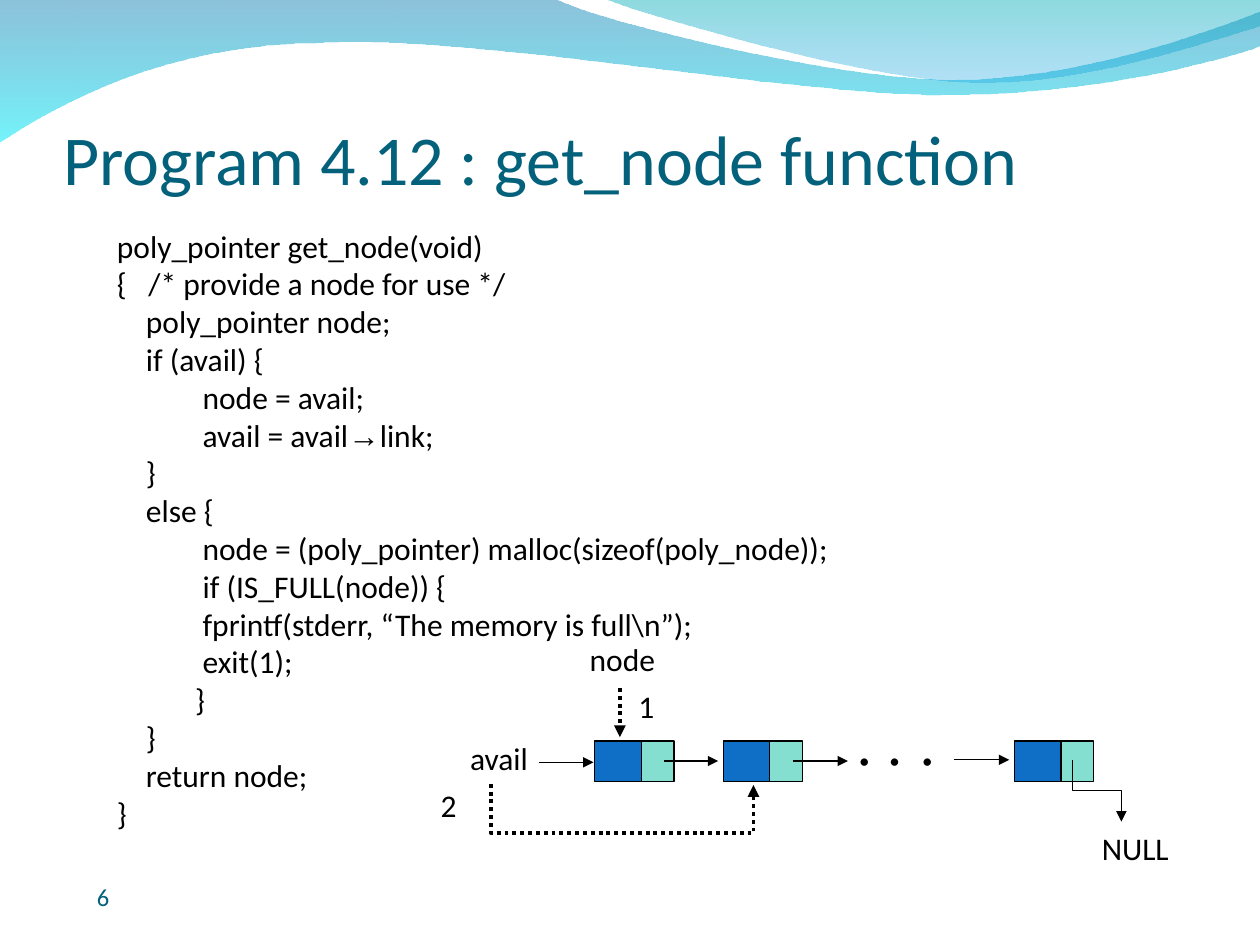
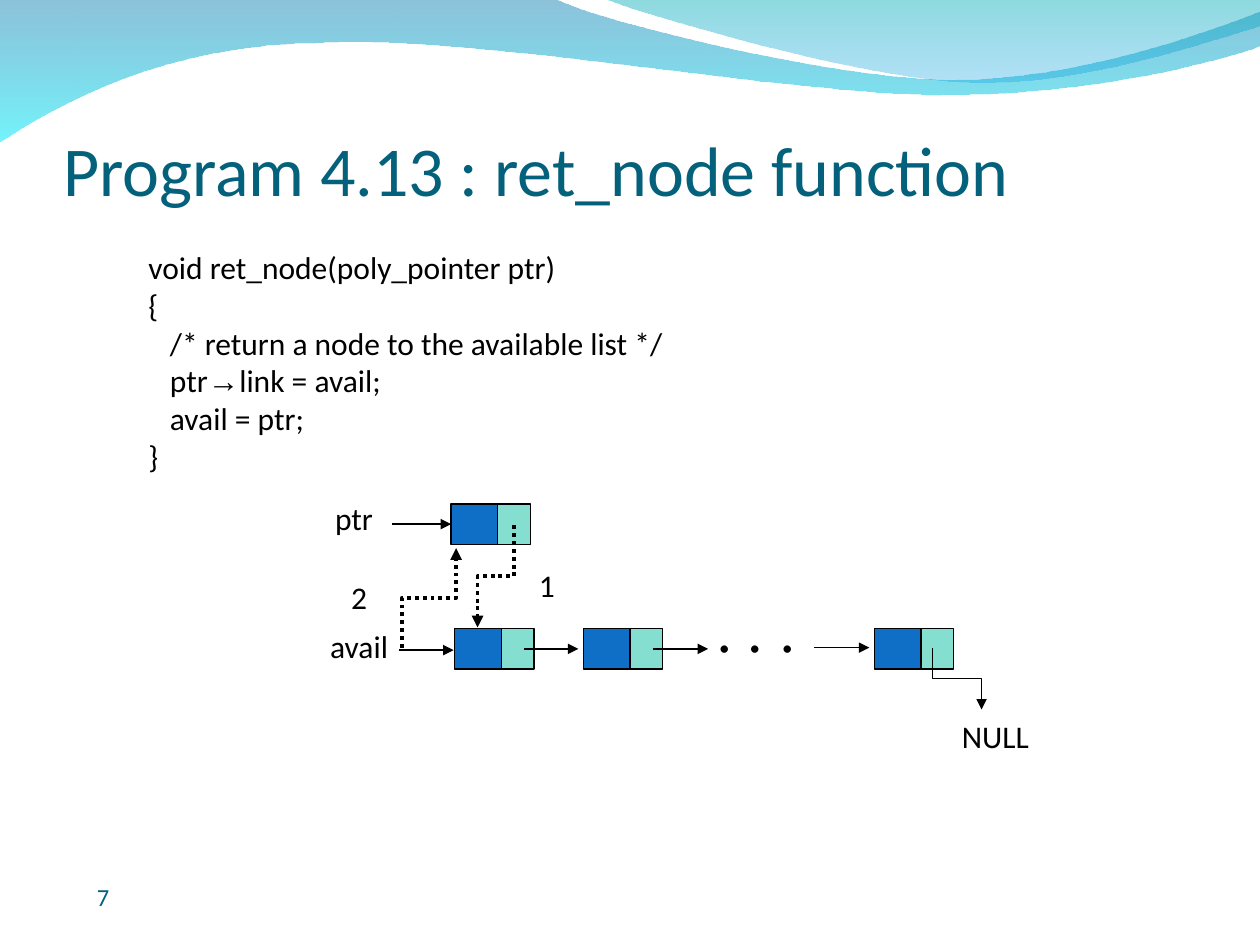
"""Build two slides on the get_node and ret_node functions of a linked list."""
import lxml.etree
import pptx
import pptx.dml.color
import pptx.enum.dml
import pptx.enum.shapes
import pptx.enum.text
import pptx.oxml.ns
import pptx.util

PX = 9144
FONT = "Calibri"
COLORS = {
    "title": "04617B", "ink": "000000", "data": "0F6FC6", "link": "85DFD0",
    "wave_top": "0079AF", "wave_bottom": "00EBF8",
    "crest_top": "00ADB6", "crest_bottom": "009BE5",
}
RGB = {name: pptx.dml.color.RGBColor.from_string(value) for name, value in COLORS.items()}
ALIGN = pptx.enum.text.PP_ALIGN
qn = pptx.oxml.ns.qn


def add_text(page, frame, lines, size=18, color="ink", align=ALIGN.LEFT, tabs=()):
    """Add a text box; each line is a pair of indent and text."""
    box = page.shapes.add_textbox(*[value * PX for value in frame])
    box.text_frame.word_wrap = True
    for number, (indent, text) in enumerate(lines):
        para = box.text_frame.paragraphs[0] if number == 0 else box.text_frame.add_paragraph()
        para.alignment = align
        properties = para._p.get_or_add_pPr()
        properties.set("marL", str(indent * PX))
        if "\t" in text:
            tab_list = lxml.etree.SubElement(properties, qn("a:tabLst"))
            for tab in tabs:
                lxml.etree.SubElement(tab_list, qn("a:tab"), pos=str(tab * PX), algn="l")
        for piece in filter(None, text.partition("→")):
            span = para.add_run()
            span.text = piece
            span.font.name = "Arial" if piece == "→" else FONT
            span.font.size = pptx.util.Pt(size)
            span.font.color.rgb = RGB[color]


def add_arrow(page, start, end, dotted=False, bend=None):
    """Add a straight arrow, or one that leaves vertically and turns at bend."""
    kind = pptx.enum.shapes.MSO_CONNECTOR.STRAIGHT
    (x1, y1), (x2, y2) = start, end
    if bend is not None:
        kind = pptx.enum.shapes.MSO_CONNECTOR.ELBOW
        down = y2 > y1
        center_x, center_y = (x1 + x2) / 2, (y1 + y2) / 2
        half_width, half_height = abs(y2 - y1) / 2, abs(x2 - x1) / 2
        if down == (x2 > x1):
            half_height = -half_height
        x1, x2 = center_x - half_width, center_x + half_width
        y1, y2 = center_y - half_height, center_y + half_height
    arrow = page.shapes.add_connector(kind, *[int(value * PX) for value in (x1, y1, x2, y2)])
    properties = arrow._element.spPr
    if bend is not None:
        properties.find(qn("a:xfrm")).set("rot", str((90 if down else 270) * 60000))
        guides = properties.find(qn("a:prstGeom")).find(qn("a:avLst"))
        lxml.etree.SubElement(guides, qn("a:gd"), name="adj1", fmla=f"val {int(bend * 100000)}")
    arrow.line.color.rgb = RGB["ink"]
    arrow.line.width = pptx.util.Pt(2.25 if dotted else 0.75)
    if dotted:
        arrow.line.dash_style = pptx.enum.dml.MSO_LINE.ROUND_DOT
    lxml.etree.SubElement(arrow.line._get_or_add_ln(), qn("a:tailEnd"), type="triangle")
    lxml.etree.SubElement(properties, qn("a:effectLst"))


WAVES = [
    {"start": (0, -1), "colors": ("wave_top", "wave_bottom"), "alphas": (45, 55), "segments": [
        [(440, -1)],
        [(476, 17), (664, 63), (758, 63)],
        [(853, 63), (958, 26), (1000, 9)],
        [(1001, 36)],
        [(983, 44), (870, 76), (746, 75)],
        [(622, 75), (382, 28), (257, 34)],
        [(129, 35), (46, 83), (-1, 113)],
    ]},
    {"start": (479, -1), "colors": ("crest_top", "crest_bottom"), "alphas": (45, 30), "segments": [
        [(509, 11), (682, 62), (769, 65)],
        [(856, 69), (961, 32), (1000, 21)],
        [(1000, 0)],
    ]},
]

SLIDES = [
    {
        "number": "6", "title": "Program 4.12 : get_node function", "title_top": 33,
        "code_frame": (83, 175, 598, 490), "list_at": (472, 588),
        "code": [
            (0, "poly_pointer get_node(void)"),
            (0, "{\t/* provide a node for use */"),
            (23, "poly_pointer node;"),
            (23, "if (avail) {"),
            (68, "node = avail;"),
            (68, "avail = avail→link;"),
            (23, "}"),
            (23, "else {"),
            (68, "node = (poly_pointer) malloc(sizeof(poly_node));"),
            (68, "if (IS_FULL(node)) {"),
            (68, "fprintf(stderr, “The memory is full\\n”);"),
            (68, "exit(1);"),
            (62, "}"),
            (23, "}"),
            (23, "return node;"),
            (0, "}"),
        ],
        "nodes": [],
        "labels": [("node", -15, -85), ("1", 4, -48), ("2", -153, 31)],
        "arrows": [((20, -42), (20, -3), True, None), ((-82, 34), (126, 35), True, 40)],
    },
    {
        "number": "7", "title": "Program 4.13 : ret_node function", "title_top": 42,
        "code_frame": (108, 192, 598, 190), "list_at": (361, 499),
        "code": [
            (0, "void ret_node(poly_pointer ptr)"),
            (0, "{"),
            (17, "/* return a node to the available list */"),
            (17, "ptr→link = avail;"),
            (17, "avail = ptr;"),
            (0, "}"),
        ],
        "nodes": [(-3, -99)],
        "labels": [("ptr", -117, -108), ("1", 36, -55), ("2", -113, -45)],
        "arrows": [
            ((-50, -83), (-3, -83), False, None),
            ((47, -82), (18, -1), True, 0.5),
            ((-42, 15), (1, -64), True, 0.5),
        ],
    },
]
LIST_NODES = [(0, 0), (102, 0), (333, 0)]
LIST_ARROWS = [
    ((-44, 17), (-1, 17), False, None),
    ((55, 16), (98, 16), False, None),
    ((157, 16), (201, 16), False, None),
    ((285, 15), (329, 15), False, None),
    ((379, 15), (418, 64), False, 0.5),
]
LIST_LABELS = [("avail", -113, -6), ("NULL", 383, 65)]

deck = pptx.Presentation()
deck.slide_width, deck.slide_height = 1000 * PX, 750 * PX
layout = deck.slide_layouts[5]
pages = [deck.slides.add_slide(layout) for _ in SLIDES]

for order, wave in enumerate(WAVES):
    builder = pages[0].shapes.build_freeform(*wave["start"], scale=PX)
    builder.add_line_segments(sum(wave["segments"], []), close=True)
    band = builder.convert_to_shape()
    vertices = band._element.iter(qn("a:lnTo"))
    vertices = list(vertices)
    for segment in wave["segments"]:
        corners, vertices = vertices[:len(segment)], vertices[len(segment):]
        if len(segment) == 3:
            curve = lxml.etree.Element(qn("a:cubicBezTo"))
            corners[0].addprevious(curve)
            for corner in corners:
                curve.append(corner[0])
                corner.getparent().remove(corner)
    band.shadow.inherit = False
    band.line.fill.background()
    band.fill.gradient()
    band.fill.gradient_angle = 270
    for stop, color, alpha in zip(band.fill.gradient_stops, wave["colors"], wave["alphas"]):
        stop.color.rgb = RGB[color]
        tint = stop._gs.find(qn("a:srgbClr"))
        lxml.etree.SubElement(tint, qn("a:alpha"), val=str(alpha * 1000))
    layout.shapes._spTree.insert(2 + order, band._element)

for page, content in zip(pages, SLIDES):
    title = page.shapes.title
    title.left, title.top = 50 * PX, content["title_top"] * PX
    title.width, title.height = 900 * PX, 125 * PX
    frame = title.text_frame
    frame.text = content["title"]
    frame.auto_size = pptx.enum.text.MSO_AUTO_SIZE.NONE
    frame.vertical_anchor = pptx.enum.text.MSO_ANCHOR.BOTTOM
    frame.margin_left = frame.margin_right = frame.margin_bottom = 0
    frame.margin_top = 5 * PX
    frame.paragraphs[0].alignment = ALIGN.LEFT
    heading = frame.paragraphs[0].runs[0].font
    heading.name, heading.size = FONT, pptx.util.Pt(40)
    heading.color.rgb = RGB["title"]

    add_text(page, (67, 695, 217, 40), [(0, content["number"])], size=14, color="title")
    add_text(page, content["code_frame"], content["code"], tabs=[25])

    left, top = content["list_at"]
    for x, y in LIST_NODES + content["nodes"]:
        for part, offset, width in (("data", 0, 48), ("link", 37, 26)):
            cell = page.shapes.add_shape(
                pptx.enum.shapes.MSO_SHAPE.RECTANGLE,
                (left + x + offset) * PX, (top + y) * PX, width * PX, 32 * PX)
            cell.shadow.inherit = False
            cell.fill.solid()
            cell.fill.fore_color.rgb = RGB[part]
            cell.line.color.rgb = RGB["ink"]
            cell.line.width = pptx.util.Pt(0.75)
    for text, x, y in LIST_LABELS + content["labels"]:
        width = 92 if text == "NULL" else 74
        add_text(page, (left + x, top + y, width, 40), [(0, text)], align=ALIGN.CENTER)
    add_text(page, (left + 200, top, 85, 30), [(0, "•\t•\t•")], size=12, tabs=[24, 50])
    for (x1, y1), (x2, y2), dotted, bend in LIST_ARROWS + content["arrows"]:
        add_arrow(page, (left + x1, top + y1), (left + x2, top + y2), dotted, bend)

deck.save("out.pptx")
